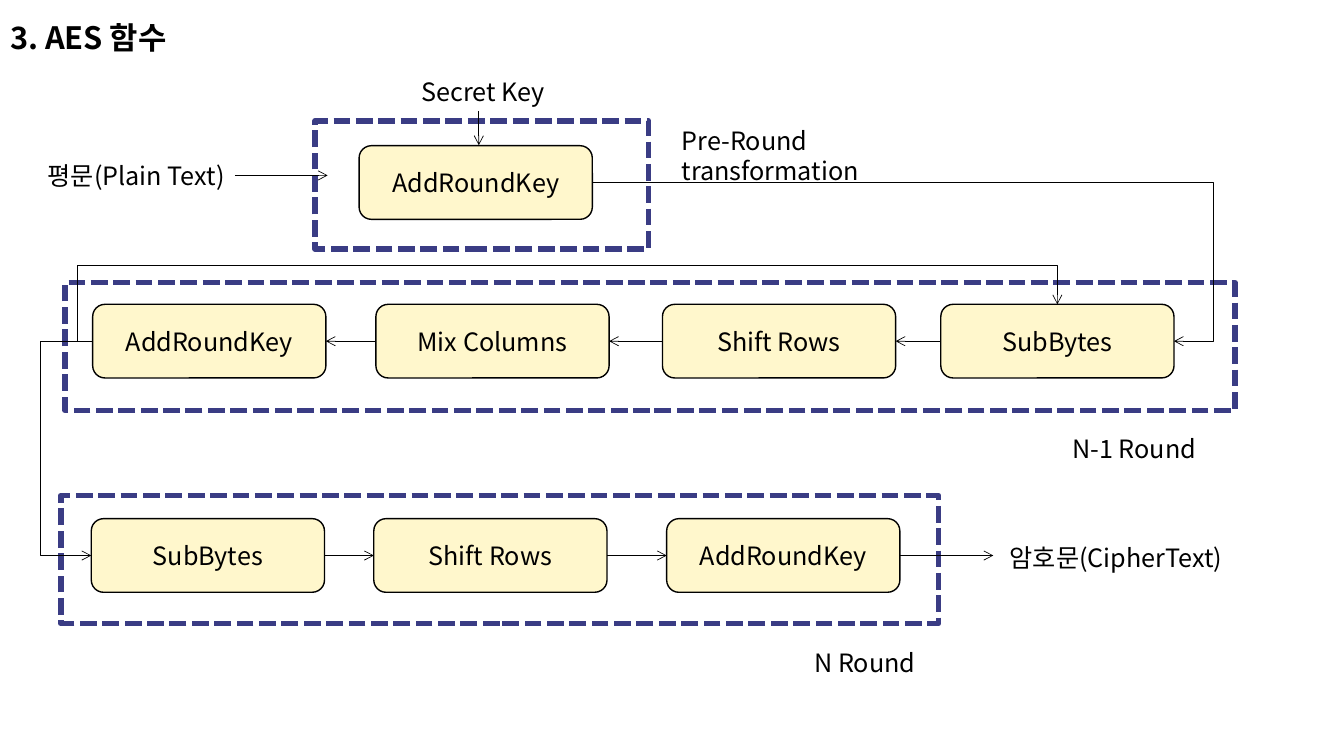
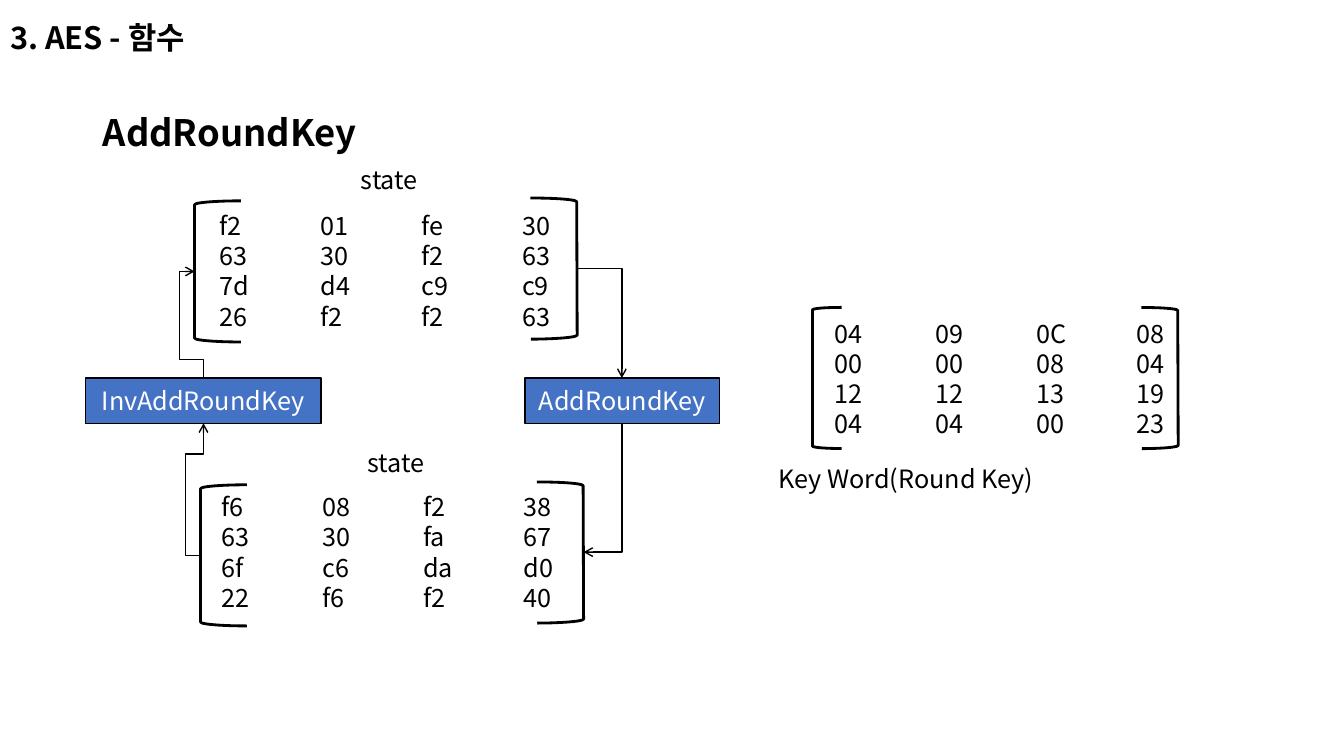
"""Builds two slides on the AES functions: the round flow and AddRoundKey."""
from pptx import Presentation
from pptx.dml.color import RGBColor
from pptx.enum import dml, shapes, text
from pptx.oxml.ns import qn
from pptx.util import Pt
from lxml import etree

BLACK = RGBColor(0x00, 0x00, 0x00)
WHITE = RGBColor(0xFF, 0xFF, 0xFF)
CREAM = RGBColor(0xFF, 0xF7, 0xCC)
NAVY = RGBColor(0x3A, 0x3C, 0x84)
BLUE = RGBColor(0x44, 0x72, 0xC4)
FONT = "Noto Sans CJK KR"
TAB_WIDTH = str(Pt(72))
LEFT, CENTER = text.PP_ALIGN.LEFT, text.PP_ALIGN.CENTER
TOP, MIDDLE = text.MSO_ANCHOR.TOP, text.MSO_ANCHOR.MIDDLE
RECTANGLE = shapes.MSO_SHAPE.RECTANGLE


def write(box, content, size=18, color=BLACK, bold=False, align=LEFT,
          anchor=TOP, spacing=None):
    frame = box.text_frame
    frame.word_wrap = True
    frame.vertical_anchor = anchor
    for index, line in enumerate(content.split("\n")):
        para = frame.add_paragraph() if index else frame.paragraphs[0]
        para.alignment = align
        para.space_before = Pt(0)
        if spacing:
            para.line_spacing = spacing
        props = para._p.get_or_add_pPr()
        props.set("marL", "0")
        props.set("indent", "0")
        props.set("defTabSz", TAB_WIDTH)
        etree.SubElement(props, qn("a:buNone"))
        span = para.add_run()
        span.text = line
        span.font.size = Pt(size)
        span.font.bold = bold
        span.font.color.rgb = color
        span.font.name = FONT
        etree.SubElement(span._r.get_or_add_rPr(), qn("a:ea"), typeface=FONT)


def link(page, start, end, bend=None, turn_x=None, turn_y=None, weight=0.5,
         arrow="tailEnd"):
    kind = shapes.MSO_CONNECTOR.ELBOW if bend else shapes.MSO_CONNECTOR.STRAIGHT
    line = page.shapes.add_connector(kind, *map(Pt, start + end))
    line.line.color.rgb = BLACK
    line.line.width = Pt(weight)
    props = line._element.spPr
    if bend:
        geometry = props.find(qn("a:prstGeom"))
        geometry.set("prst", f"bentConnector{bend}")
        guides = geometry.find(qn("a:avLst"))
        for axis, turn in enumerate((turn_x, turn_y)):
            if turn is not None:
                share = (turn - start[axis]) / (end[axis] - start[axis])
                etree.SubElement(guides, qn("a:gd"), name=f"adj{axis + 1}",
                                 fmla=f"val {round(share * 100000)}")
    etree.SubElement(props.find(qn("a:ln")), qn(f"a:{arrow}"), type="arrow")
    etree.SubElement(props, qn("a:effectLst"))


deck = Presentation()
deck.slide_width, deck.slide_height = Pt(960), Pt(540)
for root in (deck.element, deck.slide_master.element):
    for level in root.iter():
        if level.get("defTabSz"):
            level.set("defTabSz", TAB_WIDTH)

pages = []
for layout, heading in ((5, "3. AES 함수"), (1, "3. AES - 함수")):
    page = deck.slides.add_slide(deck.slide_layouts[layout])
    title = page.shapes.title
    title.left, title.top, title.width, title.height = map(Pt, (0, 0, 960, 56.9))
    write(title, heading, size=22, bold=True, anchor=MIDDLE, spacing=0.9)
    pages.append(page)
flow, detail = pages

STEP_W, STEP_H = 166.6, 52.6
TOP_Y, LOOP_Y, LAST_Y = 104.1, 217.4, 370.5
LOOP_MID, LAST_MID = LOOP_Y + STEP_H / 2, LAST_Y + STEP_H / 2
LOOP_X = (672, 473.2, 268.5, 66.2)
LAST_X = (65.2, 267, 476.2)
steps = [("AddRoundKey", 256.5, TOP_Y)]
steps += [(name, x, LOOP_Y) for name, x in
          zip(("SubBytes", "Shift Rows", "Mix Columns", "AddRoundKey"), LOOP_X)]
steps += [(name, x, LAST_Y) for name, x in
          zip(("SubBytes", "Shift Rows", "AddRoundKey"), LAST_X)]
for name, x, y in steps:
    step = flow.shapes.add_shape(shapes.MSO_SHAPE.ROUNDED_RECTANGLE,
                                 *map(Pt, (x, y, STEP_W, STEP_H)))
    step.shadow.inherit = False
    step.fill.solid()
    step.fill.fore_color.rgb = CREAM
    step.line.color.rgb = BLACK
    step.line.width = Pt(1)
    write(step, name, align=CENTER, anchor=MIDDLE)

for x, y, width in ((225, 86.4, 238.4), (46.5, 201.8, 835.5), (43.4, 354, 627)):
    border = flow.shapes.add_shape(RECTANGLE, *map(Pt, (x, y, width, 91.4)))
    border.shadow.inherit = False
    border.fill.background()
    border.line.color.rgb = NAVY
    border.line.width = Pt(4)
    border.line.dash_style = dml.MSO_LINE.SQUARE_DOT

for source, target in zip(LOOP_X, LOOP_X[1:]):
    link(flow, (source, LOOP_MID), (target + STEP_W, LOOP_MID))
for source, target in zip(LAST_X, LAST_X[1:]):
    link(flow, (source + STEP_W, LAST_MID), (target, LAST_MID))
link(flow, (LAST_X[-1] + STEP_W, LAST_MID), (709.5, LAST_MID))
link(flow, (167.8, 125.3), (234, 125.3))
link(flow, (342, 79.2), (342, 103.7))
link(flow, (256.5 + STEP_W, TOP_Y + STEP_H / 2), (LOOP_X[0] + STEP_W, LOOP_MID),
     bend=3, turn_x=866.9)
link(flow, (LOOP_X[-1], LOOP_MID), (LAST_X[0], LAST_MID), bend=3, turn_x=28.7)
link(flow, (LOOP_X[-1], LOOP_MID), (LOOP_X[0] + STEP_W / 2, LOOP_Y),
     bend=4, turn_x=55, turn_y=189.8)

DETAIL_LABELS = (("state", 250.6, 113.8, 70.6), ("state", 255.2, 316.1, 70.6),
                 ("Key Word(Round Key)", 549, 327.6, 197.3))
FLOW_LABELS = (("평문(Plain Text)", 27, 111.1, 141.1),
               ("Secret Key", 293.8, 51.1, 141.1),
               ("Pre-Round transformation", 479.9, 85.7, 231.1),
               ("N-1 Round", 758.9, 306, 141.1),
               ("N Round", 574.6, 459, 141.1),
               ("암호문(CipherText)", 714.2, 383.6, 189.4))
for page, labels in ((flow, FLOW_LABELS), (detail, DETAIL_LABELS)):
    for content, x, y, width in labels:
        label = page.shapes.add_textbox(*map(Pt, (x, y, width, 28.8)))
        write(label, content)

body = detail.placeholders[1]
body.left, body.top, body.width, body.height = map(Pt, (66.2, 81.4, 828, 309.6))
write(body, "AddRoundKey", size=26, bold=True, spacing=0.8)

MATRICES = (
    ("f2 01 fe 30\n63 30 f2 63\n7d d4 c9 c9\n26 f2 f2 63",
     (149.8, 146.7), (139, 143.5, 33.1), (379, 141.4, 33.1)),
    ("f6 08 f2 38\n63 30 fa 67\n6f c6 da d0\n22 f6 f2 40",
     (151.2, 347.5), (143.3, 346.3, 33.1), (383.6, 344.2, 33.1)),
    ("04 09 0C 08\n00 00 08 04\n12 12 13 19\n04 04 00 23",
     (589, 223.6), (580.3, 219.6, 20.9), (815.5, 219.6, 25.9)),
)
for content, (x, y), *brackets in MATRICES:
    for (left, top, width), angle in zip(brackets, (0, 179.8)):
        bracket = detail.shapes.add_shape(shapes.MSO_SHAPE.LEFT_BRACKET,
                                          *map(Pt, (left, top, width, 100.8)))
        bracket.rotation = angle
        bracket.shadow.inherit = False
        bracket.fill.background()
        bracket.line.color.rgb = BLACK
        bracket.line.width = Pt(2)
    matrix = detail.shapes.add_textbox(*map(Pt, (x, y, 281.5, 93.2)))
    write(matrix, content.replace(" ", "\t"))

for name, x, width in (("AddRoundKey", 375.1, 139), ("InvAddRoundKey", 61, 168.3)):
    operation = detail.shapes.add_shape(RECTANGLE, *map(Pt, (x, 270, width, 32.4)))
    operation.shadow.inherit = False
    operation.fill.solid()
    operation.fill.fore_color.rgb = BLUE
    operation.line.color.rgb = BLACK
    operation.line.width = Pt(1)
    write(operation, name, color=WHITE, align=CENTER, anchor=MIDDLE)

link(detail, (411.8, 191.7), (444.2, 270), bend=2, weight=1)
link(detail, (416.9, 394.4), (444.2, 302.4), bend=2, weight=1, arrow="headEnd")
link(detail, (139, 193.9), (145.4, 270), bend=4, turn_x=128.2, turn_y=257,
     weight=1, arrow="headEnd")
link(detail, (143.3, 396.7), (145.4, 302.4), bend=4, turn_x=132.5, turn_y=324.3,
     weight=1)

deck.save("out.pptx")
